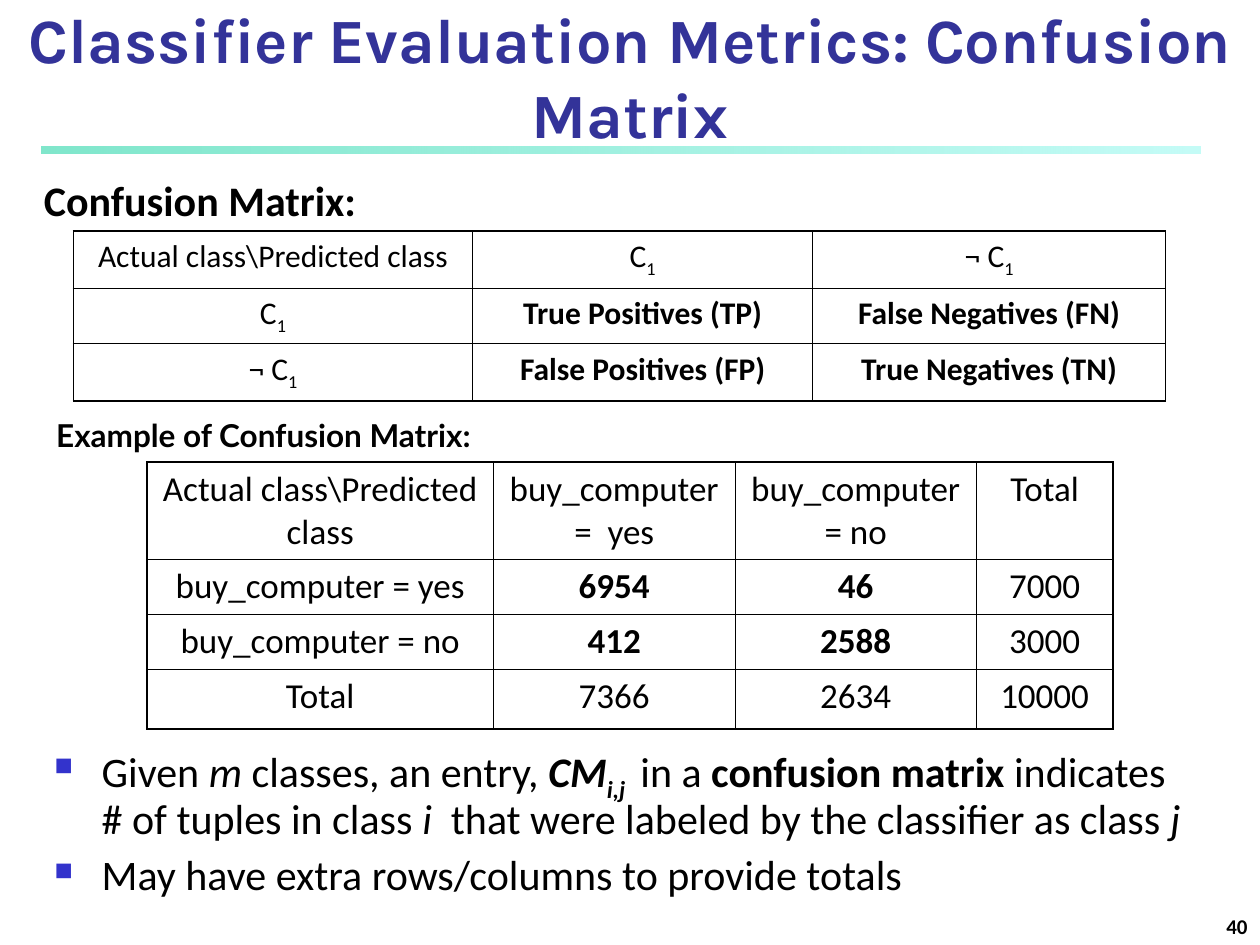
from dataclasses import dataclass
from typing import NamedTuple

from lxml.etree import SubElement
from pptx import Presentation
from pptx.dml.color import RGBColor
from pptx.enum.shapes import MSO_SHAPE as ShapeType
from pptx.enum.text import MSO_ANCHOR as Anchor, PP_ALIGN as Align
from pptx.oxml import parse_xml
from pptx.oxml.ns import nsdecls, qn
from pptx.util import Pt


@dataclass(frozen=True)
class Theme:
    title: str = "333399"
    ink: str = "000000"
    bullet: str = "3333CC"
    rule_start: str = "00CE98"
    rule_end: str = "8FF9EF"
    title_font: str = "Karla"
    body_font: str = "Calibri"
    caption_font: str = "Lato"
    title_size: float = 36
    body_size: float = 24
    example_size: float = 20
    small_size: float = 18
    number_size: float = 12
    outer_line: float = 1.08
    inner_line: float = 0.45


THEME = Theme()


class Run(NamedTuple):
    text: str
    bold: bool = False
    italic: bool = False
    subscript: bool = False


class Style(NamedTuple):
    size: float
    font: str = THEME.body_font
    color: str = THEME.ink


class Box(NamedTuple):
    left: float
    top: float
    width: float
    height: float

    def lengths(self) -> list:
        return [Pt(value) for value in self]


@dataclass(frozen=True)
class TextBlock:
    box: Box
    style: Style
    paragraphs: list
    format: dict
    anchor: Anchor = Anchor.TOP
    wrap: bool = True
    bulleted: bool = False


@dataclass(frozen=True)
class Grid:
    box: Box
    style: Style
    columns: list
    rows: list
    cells: list
    space_before: float


def apply_format(target, values: dict) -> None:
    for name, value in values.items():
        setattr(target, name, value)


def write_runs(paragraph, runs: list, style: Style) -> None:
    for part in runs:
        run = paragraph.add_run()
        run.text = part.text
        apply_format(run.font, {"name": style.font, "size": Pt(style.size),
                                "bold": part.bold, "italic": part.italic})
        run.font.color.rgb = RGBColor.from_string(style.color)
        if part.subscript:
            run._r.get_or_add_rPr().set("baseline", "-25000")


def add_bullet(paragraph) -> None:
    """Give the paragraph a hanging square bullet."""
    properties = paragraph._p.get_or_add_pPr()
    properties.set("marL", str(Pt(27)))
    properties.set("indent", str(-Pt(27)))
    color = SubElement(properties, qn("a:buClr"))
    SubElement(color, qn("a:srgbClr"), val=THEME.bullet)
    SubElement(properties, qn("a:buSzPct"), val="60000")
    SubElement(properties, qn("a:buChar"), char="■")


def add_text(slide, block: TextBlock) -> None:
    frame = slide.shapes.add_textbox(*block.box.lengths()).text_frame
    apply_format(frame, {"word_wrap": block.wrap, "vertical_anchor": block.anchor})
    for index, runs in enumerate(block.paragraphs):
        paragraph = frame.add_paragraph() if index else frame.paragraphs[0]
        apply_format(paragraph, block.format)
        if block.bulleted:
            add_bullet(paragraph)
        write_runs(paragraph, runs, block.style)


def add_borders(cell, outer_sides: dict) -> None:
    """Draw all four sides, with the heavier line on the table's edge."""
    properties = cell._tc.get_or_add_tcPr()
    for index, (side, outer) in enumerate(outer_sides.items()):
        width = Pt(THEME.outer_line if outer else THEME.inner_line)
        properties.insert(index, parse_xml(
            f'<a:ln{side} {nsdecls("a")} w="{width}"><a:solidFill>'
            f'<a:srgbClr val="{THEME.ink}"/></a:solidFill></a:ln{side}>'))


def add_grid(slide, grid: Grid) -> None:
    last_row, last_column = len(grid.rows) - 1, len(grid.columns) - 1
    table = slide.shapes.add_table(last_row + 1, last_column + 1, *grid.box.lengths()).table
    apply_format(table, {"first_row": False, "horz_banding": False})
    for column, width in zip(table.columns, grid.columns):
        column.width = Pt(width)
    for row, height in zip(table.rows, grid.rows):
        row.height = Pt(height)
    for y, row_cells in enumerate(grid.cells):
        for x, runs in enumerate(row_cells):
            cell = table.cell(y, x)
            cell.fill.background()
            add_borders(cell, {"L": x == 0, "R": x == last_column,
                               "T": y == 0, "B": y == last_row})
            paragraph = cell.text_frame.paragraphs[0]
            apply_format(paragraph, {"alignment": Align.CENTER,
                                     "space_before": Pt(grid.space_before)})
            write_runs(paragraph, runs, grid.style)


def add_title_rule(slide, box: Box) -> None:
    rule = slide.shapes.add_shape(ShapeType.RECTANGLE, *box.lengths())
    rule.shadow.inherit = False
    rule.line.fill.background()
    rule.fill.gradient()
    rule.fill.gradient_angle = 0
    stops = ((0, THEME.rule_start, 50), (1, THEME.rule_end, 52))
    for stop, (position, color, opacity) in zip(rule.fill.gradient_stops, stops):
        stop.position = position
        stop.color.rgb = RGBColor.from_string(color)
    for element, (_, _, opacity) in zip(rule._element.iter(qn("a:srgbClr")), stops):
        SubElement(element, qn("a:alpha"), val=str(opacity * 1000))


def plain(*texts: str) -> list:
    return [[Run(text)] for text in texts]


def bold(*texts: str) -> list:
    return [[Run(text, bold=True)] for text in texts]


POSITIVE = [Run("C"), Run("1", subscript=True)]
NEGATIVE = [Run("¬ C"), Run("1", subscript=True)]
CORNER = "Actual class\\Predicted class"

DEFINITION = Grid(
    Box(42, 132, 624, 97), Style(THEME.small_size), [228, 194.5, 201.5], [32.5, 32, 32.5],
    [plain(CORNER) + [POSITIVE, NEGATIVE],
     [POSITIVE] + bold("True Positives (TP)", "False Negatives (FN)"),
     [NEGATIVE] + bold("False Positives (FP)", "True Negatives (TN)")], 4.5)

EXAMPLE = Grid(
    Box(84, 264, 552, 152.5), Style(THEME.example_size), [198, 138, 138, 78],
    [55.5, 31.5, 31.5, 34],
    [plain(CORNER, "buy_computer =  yes", "buy_computer = no", "Total"),
     plain("buy_computer = yes") + bold("6954", "46") + plain("7000"),
     plain("buy_computer = no") + bold("412", "2588") + plain("3000"),
     plain("Total", "7366", "2634", "10000")], 5)

NOTES = [
    [Run("Given"), Run(" m", italic=True), Run(" classes, an entry, "),
     Run("CM", True, True), Run("i,j ", True, True, True), Run(" in a "),
     Run("confusion matrix", bold=True), Run(" indicates # of tuples in class "),
     Run("i", italic=True), Run("  that were labeled by the classifier as class "),
     Run("j", italic=True)],
    [Run("May have extra rows/columns to provide totals")]]

TEXTS = [
    TextBlock(Box(0, 0, 720, 90), Style(THEME.title_size, THEME.title_font, THEME.title),
              bold("Classifier Evaluation Metrics: Confusion Matrix"),
              {"alignment": Align.CENTER}, Anchor.BOTTOM),
    TextBlock(Box(24, 423, 666, 99), Style(THEME.body_size), NOTES,
              {"line_spacing": 0.9, "space_before": Pt(6)}, bulleted=True),
    TextBlock(Box(18, 96, 205, 36), Style(THEME.body_size), bold("Confusion Matrix:"), {}),
    TextBlock(Box(25, 234, 279, 29), Style(THEME.small_size, THEME.caption_font),
              bold("Example of Confusion Matrix:"), {}, wrap=False),
    TextBlock(Box(570, 510, 150, 30), Style(THEME.number_size), bold("40"),
              {"alignment": Align.RIGHT}, Anchor.BOTTOM)]


def main() -> None:
    presentation = Presentation()
    apply_format(presentation, {"slide_width": Pt(720), "slide_height": Pt(540)})
    slide = presentation.slides.add_slide(presentation.slide_layouts[6])
    add_title_rule(slide, Box(24, 84, 662, 4))
    for block in TEXTS:
        add_text(slide, block)
    for grid in (DEFINITION, EXAMPLE):
        add_grid(slide, grid)
    presentation.save("out.pptx")


if __name__ == "__main__":
    main()
